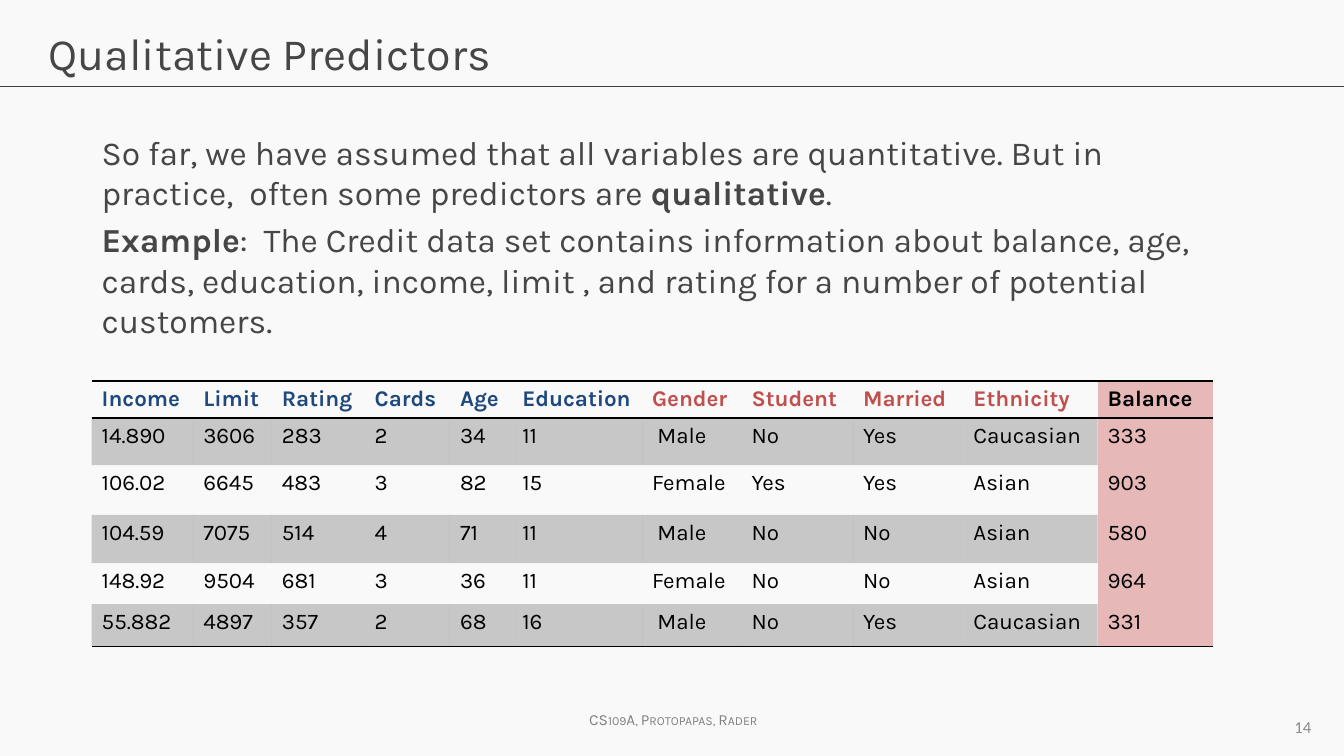
import pptx
import pptx.dml.color
import pptx.enum.shapes
import pptx.enum.text
import pptx.oxml
import pptx.oxml.ns
import pptx.util

Cm = pptx.util.Cm
Pt = pptx.util.Pt
RGBColor = pptx.dml.color.RGBColor
ALIGN = pptx.enum.text.PP_ALIGN
ANCHOR = pptx.enum.text.MSO_ANCHOR

PAPER = RGBColor(0xF9, 0xF9, 0xF9)
INK = RGBColor(0x46, 0x46, 0x46)
RULE = RGBColor(0x40, 0x40, 0x40)
FOOTER = RGBColor(0x80, 0x80, 0x80)
NUMBER = RGBColor(0x8C, 0x8C, 0x8C)
BLACK = RGBColor(0, 0, 0)
BLUE = RGBColor(0x1F, 0x49, 0x7D)
RED = RGBColor(0xC0, 0x50, 0x4D)
PINK = RGBColor(0xE6, 0xB9, 0xB8)

FONT = "Karla"
PLAIN_TABLE = "{2D5ABB26-0587-4C30-8999-92F81FD0307C}"
COLUMN_WIDTHS = [2.56, 1.98, 2.34, 2.15, 1.57, 3.27, 2.51, 2.81, 2.78, 3.38, 2.9]
ROW_HEIGHTS = [0.91, 1.19, 1.25, 1.22, 1.03, 1.06]
HEADER_COLOURS = [BLUE] * 6 + [RED] * 4 + [BLACK]
CREDIT_ROWS = [
    ["Income", "Limit", "Rating", "Cards", "Age", "Education",
     "Gender", "Student", "Married", "Ethnicity", "Balance"],
    ["14.890", "3606", "283", "2", "34", "11", " Male", "No", "Yes", "Caucasian", "333"],
    ["106.02", "6645", "483", "3", "82", "15", "Female", "Yes", "Yes", "Asian", "903"],
    ["104.59", "7075", "514", "4", "71", "11", " Male", "No", "No", "Asian", "580"],
    ["148.92", "9504", "681", "3", "36", "11", "Female", "No", "No", "Asian", "964"],
    ["55.882", "4897", "357", "2", "68", "16", " Male", "No", "Yes", "Caucasian", "331"],
]
INTRODUCTION = [
    [("So far, we have assumed that all variables are quantitative. "
      "But in practice,  often some predictors are ", False),
     ("qualitative", True), (".", False)],
    [("Example", True),
     (":  The Credit data set contains information about balance, age, cards, education, "
      "income, limit , and rating for a number of potential customers.", False)],
]


def style_font(font, size, colour, name=FONT, bold=False):
    """Set the look of a font."""
    font.name = name
    font.size = Pt(size)
    font.bold = bold
    font.color.rgb = colour


def add_box(page, left, top, width, height):
    """Add an empty wrapping text box and return it."""
    box = page.shapes.add_textbox(Cm(left), Cm(top), Cm(width), Cm(height))
    box.text_frame.word_wrap = True
    return box


def add_label(page, place, text, size, colour, name=FONT):
    """Add a one-line text box and return its paragraph."""
    box = add_box(page, *place)
    box.text_frame.text = text
    para = box.text_frame.paragraphs[0]
    style_font(para.runs[0].font, size, colour, name)
    return para


def add_introduction(page):
    """Add the body text with its bold words."""
    frame = add_box(page, 2.31, 3.2, 28.68, 5.87).text_frame
    for index, pieces in enumerate(INTRODUCTION):
        para = frame.add_paragraph() if index else frame.paragraphs[0]
        para.space_before = Pt(4.8 if index else 0)
        for text, bold in pieces:
            span = para.add_run()
            span.text = text
            style_font(span.font, 24, INK, bold=bold)


def add_rule(page):
    """Add the line under the title."""
    line = page.shapes.add_connector(
        pptx.enum.shapes.MSO_CONNECTOR.STRAIGHT, 0, Cm(2.18), Cm(33.87), Cm(2.18))
    line.line.color.rgb = RULE
    line.line.width = Pt(0.75)
    line._element.spPr.append(pptx.oxml.parse_xml(
        f'<a:effectLst {pptx.oxml.ns.nsdecls("a")}/>'))


def add_border(cell, side):
    """Draw a black border on one side of a cell."""
    cell._tc.get_or_add_tcPr().append(pptx.oxml.parse_xml(
        f'<a:{side} {pptx.oxml.ns.nsdecls("a")} w="{Pt(1)}">'
        f'<a:solidFill><a:srgbClr val="{BLACK}"/></a:solidFill></a:{side}>'))


def fill_cell(cell, row, is_balance):
    """Fill the balance column pink and every second row translucent black."""
    if is_balance:
        cell.fill.solid()
        cell.fill.fore_color.rgb = PINK
    elif row % 2:
        cell.fill.solid()
        cell.fill.fore_color.rgb = BLACK
        colour = cell._tc.tcPr.find(pptx.oxml.ns.qn("a:solidFill"))[0]
        colour.append(pptx.oxml.parse_xml(
            f'<a:alpha {pptx.oxml.ns.nsdecls("a")} val="20000"/>'))
    else:
        cell.fill.background()


def add_credit_table(page):
    """Add the table of credit records."""
    frame = page.shapes.add_table(
        len(ROW_HEIGHTS), len(COLUMN_WIDTHS), Cm(2.31), Cm(9.6),
        Cm(sum(COLUMN_WIDTHS)), Cm(sum(ROW_HEIGHTS)))
    table = frame.table
    table.horz_banding = False
    table._tbl.tblPr.find(pptx.oxml.ns.qn("a:tableStyleId")).text = PLAIN_TABLE
    for column, width in zip(table.columns, COLUMN_WIDTHS):
        column.width = Cm(width)
    for row, (values, height) in enumerate(zip(CREDIT_ROWS, ROW_HEIGHTS)):
        table.rows[row].height = Cm(height)
        for column, value in enumerate(values):
            cell = table.cell(row, column)
            cell.text_frame.text = value
            colour = BLACK if row else HEADER_COLOURS[column]
            span = cell.text_frame.paragraphs[0].runs[0]
            style_font(span.font, 16, colour, bold=row == 0)
            if row == 0:
                cell.vertical_anchor = ANCHOR.MIDDLE
                add_border(cell, "lnT")
            if row in (0, len(ROW_HEIGHTS) - 1):
                add_border(cell, "lnB")
            fill_cell(cell, row, column == len(values) - 1)


def main():
    """Build the slide and save it."""
    deck = pptx.Presentation()
    deck.slide_width = Cm(33.87)
    deck.slide_height = Cm(19.05)
    page = deck.slides.add_slide(deck.slide_layouts[6])
    page.background.fill.solid()
    page.background.fill.fore_color.rgb = PAPER
    add_rule(page)
    footer = add_label(page, (14.6, 17.78, 5, 0.74), "CS109A, Protopapas, Rader", 11, FOOTER)
    footer.runs[0]._r.get_or_add_rPr().set("cap", "small")
    add_label(page, (0.97, 0.53, 31.93, 2.13), "Qualitative Predictors", 32, INK)
    add_introduction(page)
    add_credit_table(page)
    number = add_label(page, (25.4, 17.93, 7.9, 0.8), "14", 12, NUMBER, "Calibri")
    number.alignment = ALIGN.RIGHT
    deck.save("out.pptx")


if __name__ == "__main__":
    main()
